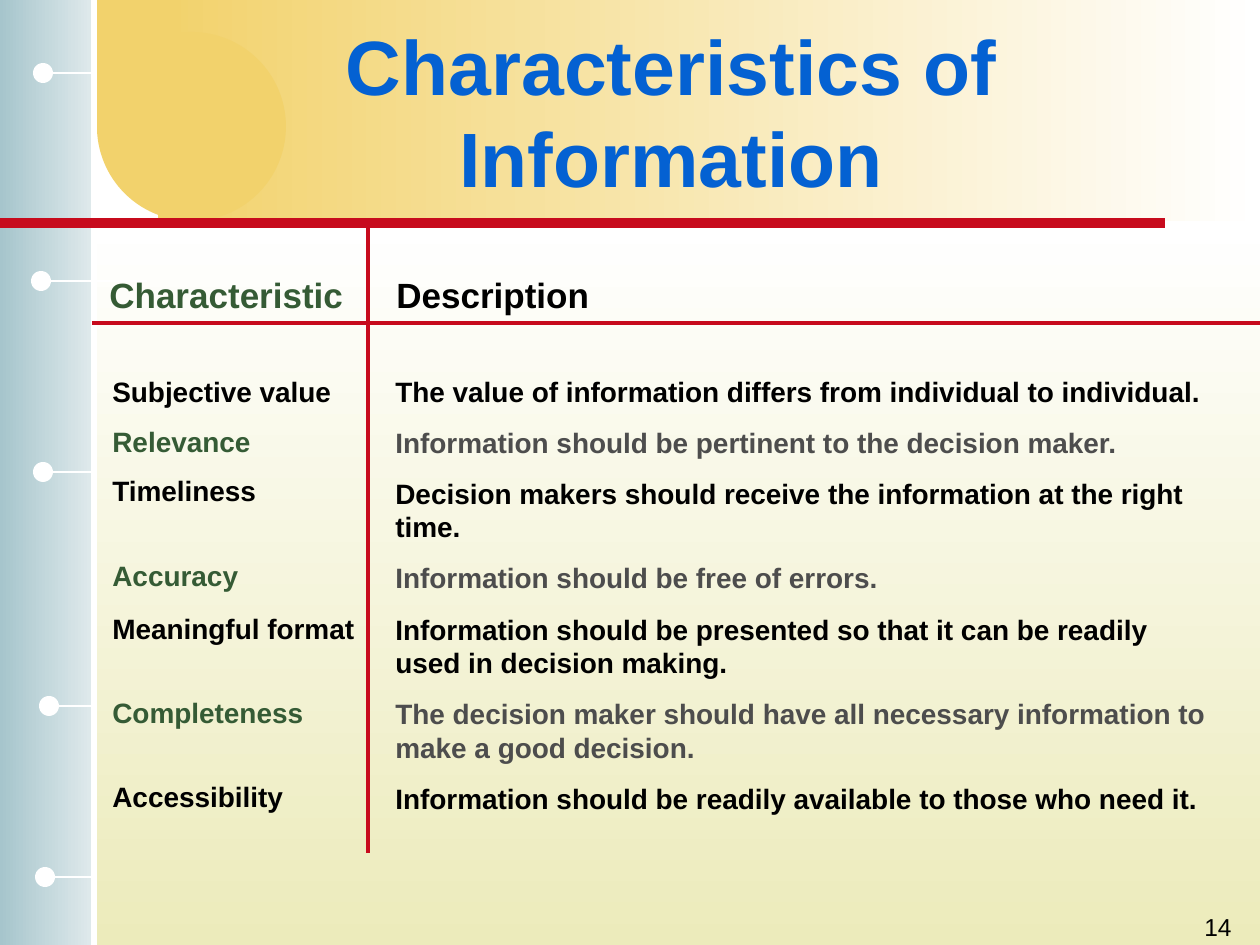
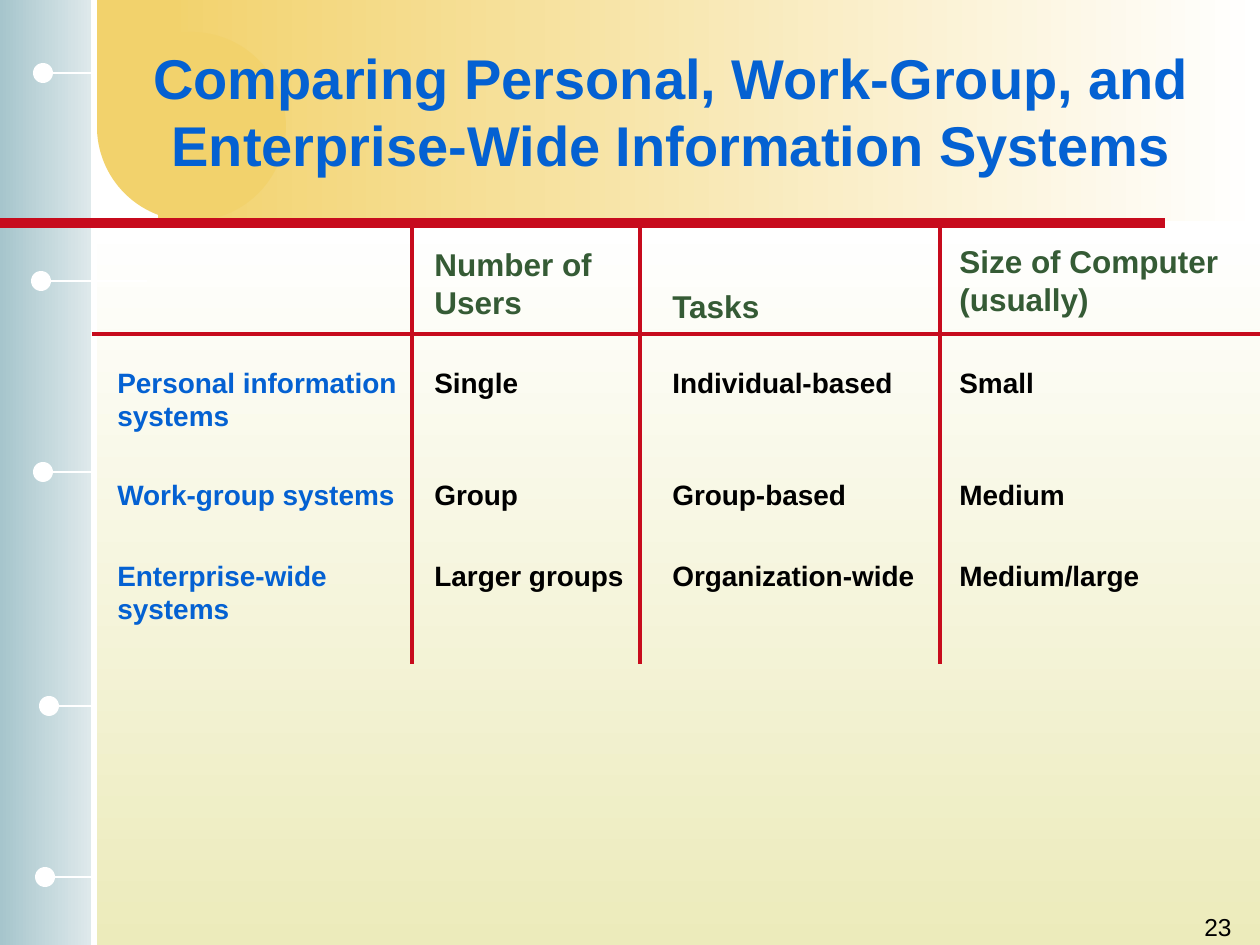
from dataclasses import dataclass

from lxml.etree import SubElement
from pptx import Presentation
from pptx.dml.color import RGBColor
from pptx.enum.shapes import MSO_CONNECTOR, MSO_SHAPE
from pptx.enum.text import MSO_ANCHOR, PP_ALIGN
from pptx.oxml.ns import qn
from pptx.util import Emu, Pt


@dataclass(frozen=True)
class Theme:
    font: str = "Arial"
    white: str = "FFFFFF"
    black: str = "000000"
    grey: str = "4D4D4D"
    green: str = "355B35"
    blue: str = "0461D2"
    red: str = "C70B1D"
    gold: str = "F2D26C"
    cream: str = "ECEBBB"
    mist: str = "E0EAEC"
    teal: str = "A6C5CC"
    body: int = 16
    page: int = 14
    gap: int = 10
    rule: float = 2.25


@dataclass(frozen=True)
class Box:
    x: int
    y: int
    w: int
    h: int

    def inner(self, dx, dy, w, h):
        """Box of size w by h, offset from this box's corner."""
        return Box(self.x + dx, self.y + dy, w, h)


T = Theme()
PAGE = Box(0, 0, 1260, 945)
SIDEBAR = Box(0, 0, 94, 945)
BANNER = Box(97, 0, 1163, 221)
BODY = Box(92, 223, 1168, 722)
TITLE = Box(136, 32, 1071, 157)
PAGE_NUMBER = Box(982, 906, 262, 39)

DOT = 20
# Left and middle of each dot, right end of its line
PINS = [(33, 73, 94), (31, 281, 147), (33, 472, 92), (39, 706, 94), (35, 877, 92)]

# Label offset from the top of the body, characteristic, description
CHARACTERISTICS = [
    (145, "Subjective value", "The value of information differs from individual to individual."),
    (195, "Relevance", "Information should be pertinent to the decision maker."),
    (244, "Timeliness", "Decision makers should receive the information at the right time."),
    (329, "Accuracy", "Information should be free of errors."),
    (382, "Meaningful format",
     "Information should be presented so that it can be readily used in decision making."),
    (466, "Completeness",
     "The decision maker should have all necessary information to make a good decision."),
    (550, "Accessibility", "Information should be readily available to those who need it."),
]

# Left offset and width of each column; top offset and text of its heading
COLUMNS = [(13, 318), (330, 220), (568, 318), (855, 313)]
HEADINGS = [(16, ["Number of", "Users"]), (58, ["Tasks"]), (13, ["Size of Computer", "(usually)"])]
SYSTEMS = [
    (136, ["Personal information systems", "Single", "Individual-based", "Small"]),
    (248, ["Work-group systems", "Group", "Group-based", "Medium"]),
    (329, ["Enterprise-wide systems", "Larger groups", "Organization-wide", "Medium/large"]),
]


def px(n):
    return Emu(round(n * 914400 / 126))


def rgb(color):
    return RGBColor.from_string(color)


def add_block(s, box, color, end_color=None, angle=0, shape=MSO_SHAPE.RECTANGLE):
    """Borderless shape, plain or with a gradient from color to end_color."""
    sp = s.shapes.add_shape(shape, px(box.x), px(box.y), px(box.w), px(box.h))
    sp.shadow.inherit = False
    sp.line.fill.background()
    if end_color is None:
        sp.fill.solid()
        sp.fill.fore_color.rgb = rgb(color)
        return
    sp.fill.gradient()
    sp.fill.gradient_angle = angle
    for stop, stop_color in zip(sp.fill.gradient_stops, (color, end_color)):
        stop.color.rgb = rgb(stop_color)


def add_rule(s, x1, y1, x2, y2, color=T.red, width=T.rule):
    line = s.shapes.add_connector(MSO_CONNECTOR.STRAIGHT, px(x1), px(y1), px(x2), px(y2))
    line.line.color.rgb = rgb(color)
    line.line.width = Pt(width)
    SubElement(line._element.spPr, qn("a:effectLst"))


def add_text(s, box, lines, colors, size=T.body, bold=True, align=PP_ALIGN.LEFT,
             anchor=MSO_ANCHOR.TOP, gap=0):
    """One paragraph a line; the colors are taken in turn."""
    tf = s.shapes.add_textbox(px(box.x), px(box.y), px(box.w), px(box.h)).text_frame
    tf.word_wrap = True
    tf.vertical_anchor = anchor
    tf.text = "\n".join(lines)
    for i, p in enumerate(tf.paragraphs):
        p.alignment = align
        if i and gap:
            p.space_before = Pt(gap)
        font = p.runs[0].font
        font.name, font.size, font.bold = T.font, Pt(size), bold
        font.color.rgb = rgb(colors[i % len(colors)])


def add_banner(s, box):
    add_block(s, box.inner(61, 0, box.w - 61, box.h), T.white, T.gold, 180)
    add_block(s, box.inner(0, 32, 189, 189), T.gold, shape=MSO_SHAPE.OVAL)
    add_block(s, box.inner(0, 0, 84, 121), T.gold)


def add_pins(s, box):
    add_rule(s, box.x + box.w, box.y, box.x + box.w, box.y + box.h, T.white, 3)
    for left, middle, end in PINS:
        y = box.y + middle
        add_rule(s, box.x + left + DOT // 2, y, box.x + end, y, T.white, 1.5)
        add_block(s, box.inner(left, middle - DOT // 2, DOT, DOT), T.white, shape=MSO_SHAPE.OVAL)


def add_base_slide(prs, title, title_size, number):
    s = prs.slides.add_slide(prs.slide_layouts[6])
    add_block(s, BODY, T.white, T.cream, 270)
    add_block(s, SIDEBAR, T.mist, T.teal, 180)
    add_banner(s, BANNER)
    add_pins(s, SIDEBAR)
    add_rule(s, 0, BODY.y, 1165, BODY.y, width=6)
    add_text(s, TITLE, [title], [T.blue], title_size, align=PP_ALIGN.CENTER,
             anchor=MSO_ANCHOR.MIDDLE)
    add_text(s, PAGE_NUMBER, [str(number)], [T.black], T.page, bold=False,
             align=PP_ALIGN.RIGHT)
    return s


def add_grid(s, box, header_h, dividers, divider_h):
    """Rule under the header and the vertical rules between columns."""
    add_rule(s, box.x, box.y + header_h, box.x + box.w, box.y + header_h)
    for dx in dividers:
        add_rule(s, box.x + dx, box.y, box.x + dx, box.y + divider_h)


def add_characteristics(s, box):
    add_grid(s, box, 100, [276], 630)
    add_text(s, box.inner(5, 44, 280, 55), ["Characteristic"], [T.green], 20)
    add_text(s, box.inner(292, 44, 280, 55), ["Description"], [T.black], 20)
    for i, (top, name, _) in enumerate(CHARACTERISTICS):
        add_text(s, box.inner(8, top, 280, 46), [name], [T.green if i % 2 else T.black])
    descriptions = [description for *_, description in CHARACTERISTICS]
    add_text(s, box.inner(291, 145, 843, 454), descriptions, [T.black, T.grey], gap=T.gap)


def add_comparison(s, box):
    add_grid(s, box, 111, [320, 548, 848], 441)
    for (left, width), (top, lines) in zip(COLUMNS[1:], HEADINGS):
        add_text(s, box.inner(left, top, width, 50 * len(lines)), lines, [T.green], 18)
    for top, cells in SYSTEMS:
        for i, ((left, width), cell) in enumerate(zip(COLUMNS, cells)):
            add_text(s, box.inner(left, top, width, 46), [cell], [T.black if i else T.blue])


def main():
    prs = Presentation()
    prs.slide_width, prs.slide_height = px(PAGE.w), px(PAGE.h)
    s = add_base_slide(prs, "Characteristics of Information", 44, 14)
    add_characteristics(s, BODY)
    s = add_base_slide(
        prs, "Comparing Personal, Work-Group, and Enterprise-Wide Information Systems", 32, 23)
    add_comparison(s, BODY)
    prs.save("out.pptx")


if __name__ == "__main__":
    main()
